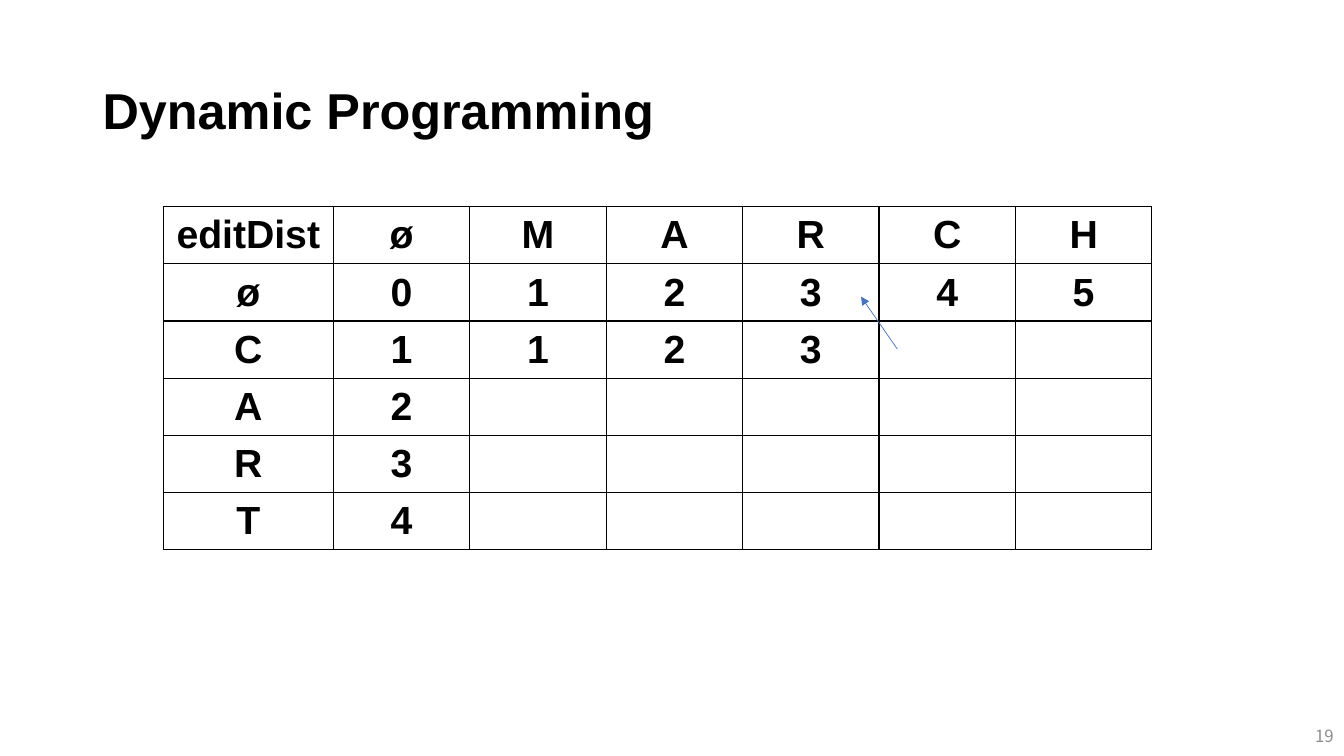
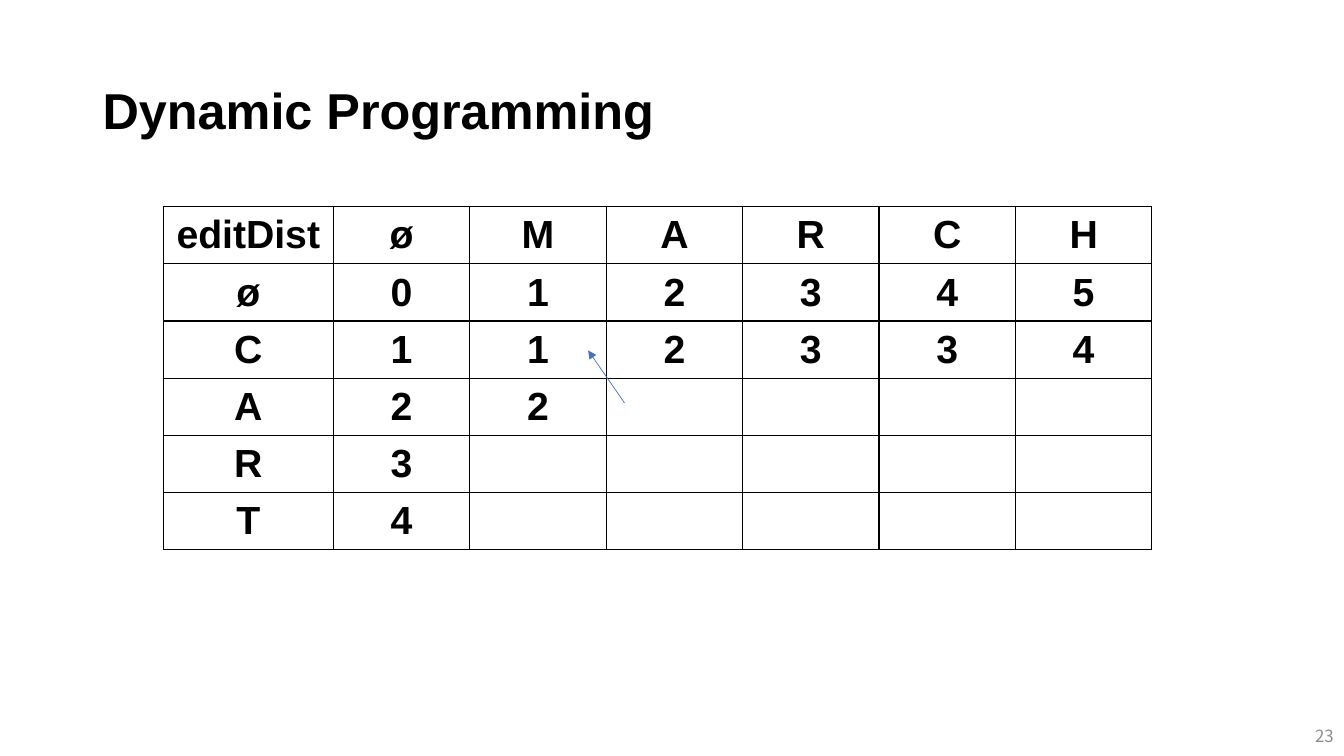
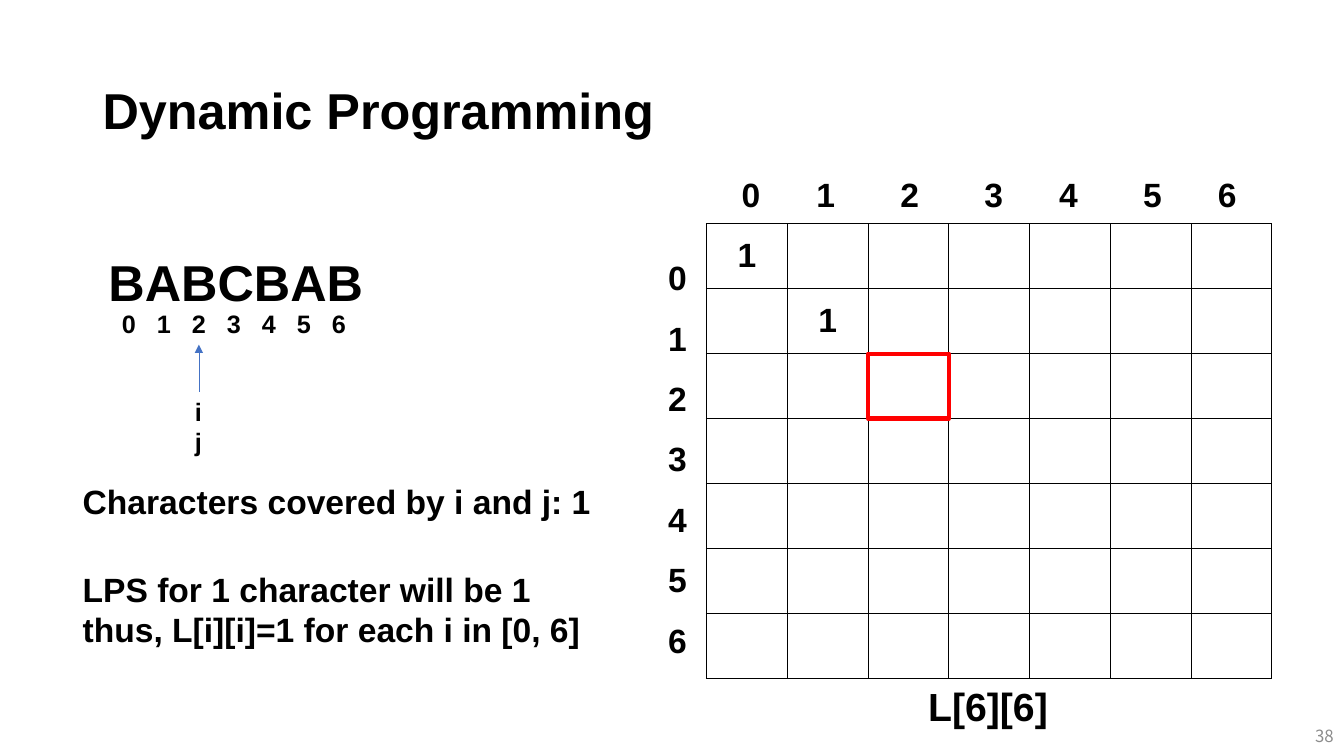
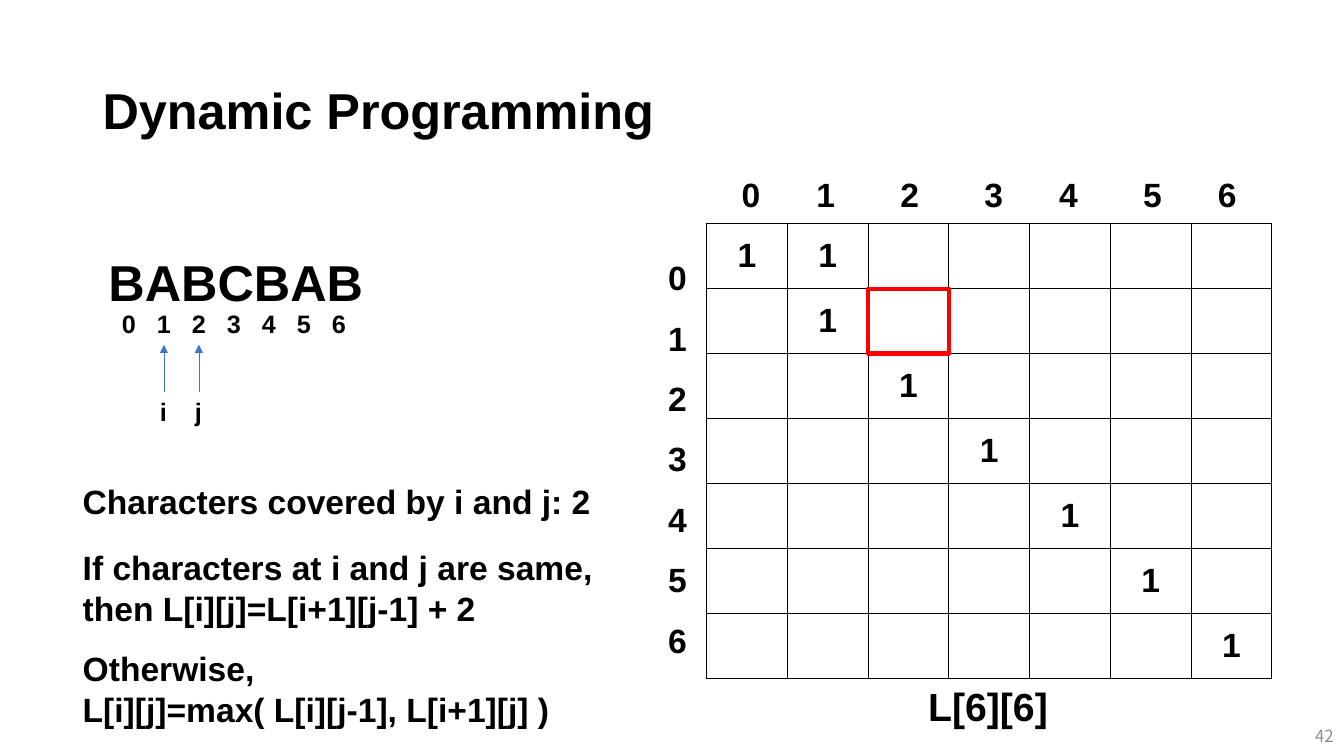
"""Build four dynamic programming slides: two edit distance tables and two palindrome grids."""
from itertools import accumulate

from lxml import etree
from pptx import Presentation
from pptx.dml.color import RGBColor
from pptx.enum import shapes, text
from pptx.oxml import ns
from pptx.util import Pt

COLOURS = {"ink": "000000", "number": "8C8C8C", "arrow": "4472C4", "mark": "FF0000"}
FONT, NUMBER_FONT = "Arial", "Noto Sans CJK KR"
TITLE = "Dynamic Programming"
WORD = "BABCBAB"
DIGITS = [str(n) for n in range(len(WORD))]

EDIT_SLIDES = [
    {"number": 19, "target": (1, 4), "rows": [
        ["editDist", *"øMARCH"], [*"ø012345"], [*"C1123"], [*"A2"], [*"R3"], [*"T4"]]},
    {"number": 23, "target": (2, 2), "rows": [
        ["editDist", *"øMARCH"], [*"ø012345"], [*"C112334"], [*"A22"], [*"R3"], [*"T4"]]},
]
PALINDROME_SLIDES = [
    {"number": 38, "ones": [(0, 0), (1, 1)], "marked": (2, 2),
     "pointers": [2], "pointer_names": ["i", "j"],
     "notes": [(340, ["Characters covered by i and j: 1"]),
               (402.5, ["LPS for 1 character will be 1",
                        "thus, L[i][i]=1 for each i in [0, 6]"])]},
    {"number": 42, "ones": [(0, 1)] + [(n, n) for n in range(7)], "marked": (1, 2),
     "pointers": [1, 2], "pointer_names": ["i\tj"],
     "notes": [(340, ["Characters covered by i and j: 2"]),
               (387.4, ["If characters at i and j are same,",
                        "then L[i][j]=L[i+1][j-1] + 2"]),
               (459.4, ["Otherwise,", "L[i][j]=max( L[i][j-1], L[i+1][j] )"])]},
]

EDIT_LEFT, EDIT_TOP, EDIT_ROW = 116.6, 147.6, 38.4
EDIT_COLUMNS = [121.6] + [97.45] * 6
GRID_LEFT, GRID_TOP, GRID_ROW, GRID_COLUMN = 504.7, 159.8, 46.4, 57.7
INDEX_LEFT, INDEX_STEP = 79.9, 25
HEADER_STOPS = list(accumulate([53.4, 60, 60, 53.4, 60, 53.4]))


def colour(name):
    return RGBColor.from_string(COLOURS[name])


def style_runs(para, size, name="ink", font=FONT, bold=True):
    for span in para.runs:
        span.font.size, span.font.name, span.font.bold = Pt(size), font, bold
        span.font.color.rgb = colour(name)


def add_text(page, lines, left, top, width, height, size, align=text.PP_ALIGN.LEFT,
             anchor=text.MSO_ANCHOR.TOP, spacing=None, stops=(), **style):
    box = page.shapes.add_textbox(Pt(left), Pt(top), Pt(width), Pt(height))
    frame = box.text_frame
    frame.word_wrap = True
    frame.vertical_anchor = anchor
    frame.text = "\n".join(lines)
    for para in frame.paragraphs:
        para.alignment = align
        if spacing:
            para.line_spacing = spacing
        if stops:
            tabs = etree.SubElement(para._p.get_or_add_pPr(), ns.qn("a:tabLst"))
            for stop in stops:
                etree.SubElement(tabs, ns.qn("a:tab"), pos=str(Pt(stop)), algn="l")
        style_runs(para, size, **style)


def add_arrow(page, start_x, start_y, end_x, end_y):
    arrow = page.shapes.add_connector(
        shapes.MSO_CONNECTOR.STRAIGHT, Pt(start_x), Pt(start_y), Pt(end_x), Pt(end_y))
    arrow.line.color.rgb = colour("arrow")
    arrow.line.width = Pt(0.5)
    etree.SubElement(arrow.line._get_or_add_ln(), ns.qn("a:tailEnd"), type="triangle")
    etree.SubElement(arrow._element.spPr, ns.qn("a:effectLst"))


def add_borders(cell):
    properties = cell._tc.get_or_add_tcPr()
    for position, side in enumerate(("lnL", "lnR", "lnT", "lnB")):
        line = etree.Element(ns.qn("a:" + side), w=str(Pt(1)))
        fill = etree.SubElement(line, ns.qn("a:solidFill"))
        etree.SubElement(fill, ns.qn("a:srgbClr"), val=COLOURS["ink"])
        properties.insert(position, line)


def add_grid(page, rows, left, top, columns, row_height, size):
    table = page.shapes.add_table(len(rows), len(columns), Pt(left), Pt(top),
                                  Pt(sum(columns)), Pt(row_height * len(rows))).table
    table.first_row = table.horz_banding = False
    for column, width in zip(table.columns, columns):
        column.width = Pt(width)
    for r, values in enumerate(rows):
        table.rows[r].height = Pt(row_height)
        for c in range(len(columns)):
            cell = table.cell(r, c)
            cell.fill.background()
            add_borders(cell)
            cell.vertical_anchor = text.MSO_ANCHOR.MIDDLE
            if c < len(values):
                cell.text = values[c]
                para = cell.text_frame.paragraphs[0]
                para.alignment = text.PP_ALIGN.CENTER
                style_runs(para, size)


def add_page(deck, number):
    page = deck.slides.add_slide(deck.slide_layouts[6])
    add_text(page, [TITLE], 66.2, 28.8, 828, 104.4, 36,
             anchor=text.MSO_ANCHOR.MIDDLE, spacing=0.9)
    add_text(page, [str(number)], 743.8, 511.2, 216, 28.8, 12, text.PP_ALIGN.RIGHT,
             text.MSO_ANCHOR.MIDDLE, name="number", font=NUMBER_FONT, bold=False)
    return page


def add_edit_slide(deck, content):
    page = add_page(deck, content["number"])
    add_grid(page, content["rows"], EDIT_LEFT, EDIT_TOP, EDIT_COLUMNS, EDIT_ROW, 28)
    row, column = content["target"]
    corner_x = EDIT_LEFT + sum(EDIT_COLUMNS[:column + 1])
    corner_y = EDIT_TOP + EDIT_ROW * (row + 1)
    add_arrow(page, corner_x + 13, corner_y + 25, corner_x - 13, corner_y - 12.5)


def add_palindrome_slide(deck, content):
    page = add_page(deck, content["number"])
    add_text(page, [WORD], 66.2, 180.7, 204.5, 104.4, 36, text.PP_ALIGN.CENTER, spacing=0.9)
    add_text(page, ["\t".join(DIGITS)], INDEX_LEFT, 216.7, 190, 28.8, 18,
             stops=[INDEX_STEP * n for n in range(1, len(DIGITS))])

    rows = [["1" if (r, c) in content["ones"] else "" for c in range(len(WORD))]
            for r in range(len(WORD))]
    add_grid(page, rows, GRID_LEFT, GRID_TOP, [GRID_COLUMN] * len(WORD), GRID_ROW, 24)
    add_text(page, ["\t".join(DIGITS)], 522.7, 121, 390, 36, 24, stops=HEADER_STOPS)
    add_text(page, DIGITS, 470.2, 165.6, 34, 307.4, 24, spacing=1.5)
    add_text(page, ["L[6][6]"], 655.9, 483.8, 110, 41, 28)

    row, column = content["marked"]
    mark = page.shapes.add_shape(
        shapes.MSO_SHAPE.RECTANGLE, Pt(GRID_LEFT + GRID_COLUMN * column),
        Pt(GRID_TOP + GRID_ROW * row), Pt(GRID_COLUMN), Pt(GRID_ROW))
    mark.shadow.inherit = False
    mark.fill.background()
    mark.line.color.rgb = colour("mark")
    mark.line.width = Pt(3)

    pointer_xs = [INDEX_LEFT + 12.2 + INDEX_STEP * n for n in content["pointers"]]
    for x in pointer_xs:
        add_arrow(page, x, 280, x, 246.2)
    add_text(page, content["pointer_names"], pointer_xs[0] - 10, 279.4, 60, 51, 18,
             stops=[INDEX_STEP])
    for top, lines in content["notes"]:
        add_text(page, lines, 52, top, 384, 36 if len(lines) == 1 else 65.5, 24)


def main():
    deck = Presentation()
    deck.slide_width, deck.slide_height = Pt(960), Pt(540)
    for content in EDIT_SLIDES:
        add_edit_slide(deck, content)
    for content in PALINDROME_SLIDES:
        add_palindrome_slide(deck, content)
    deck.save("out.pptx")


if __name__ == "__main__":
    main()
